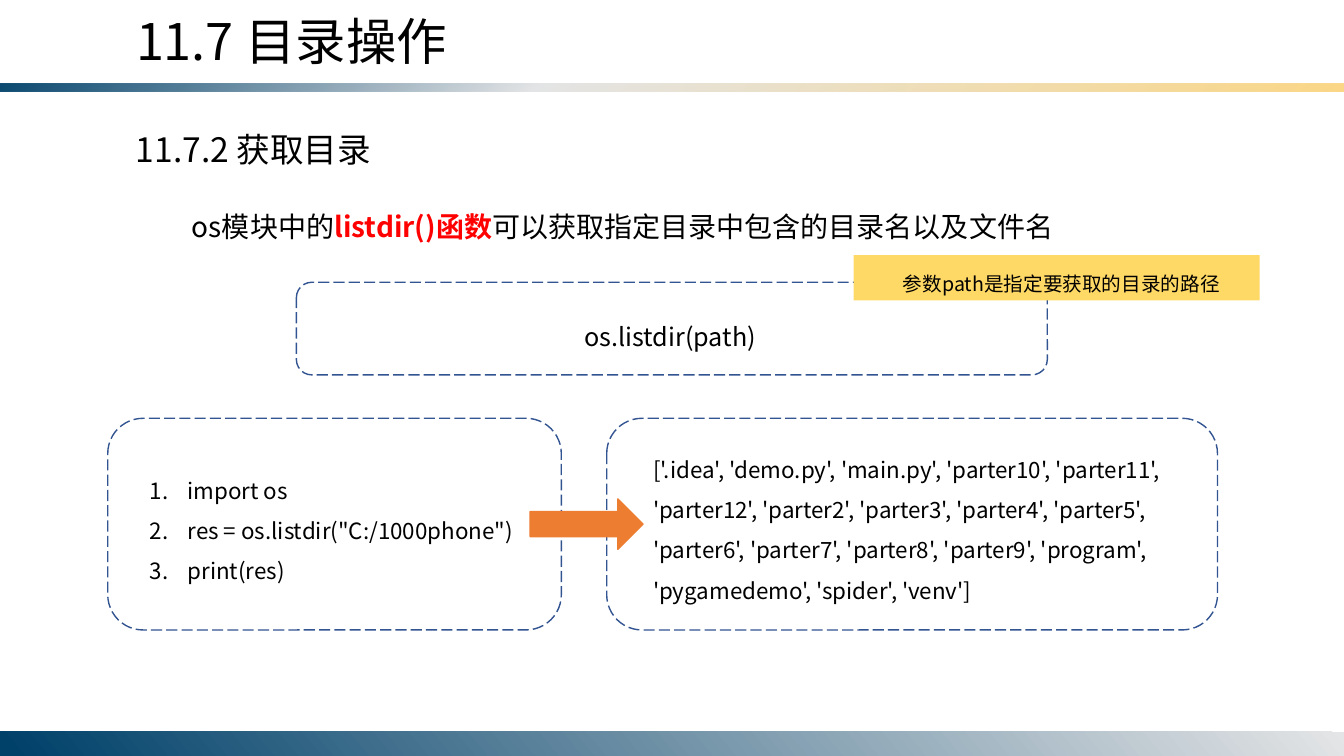
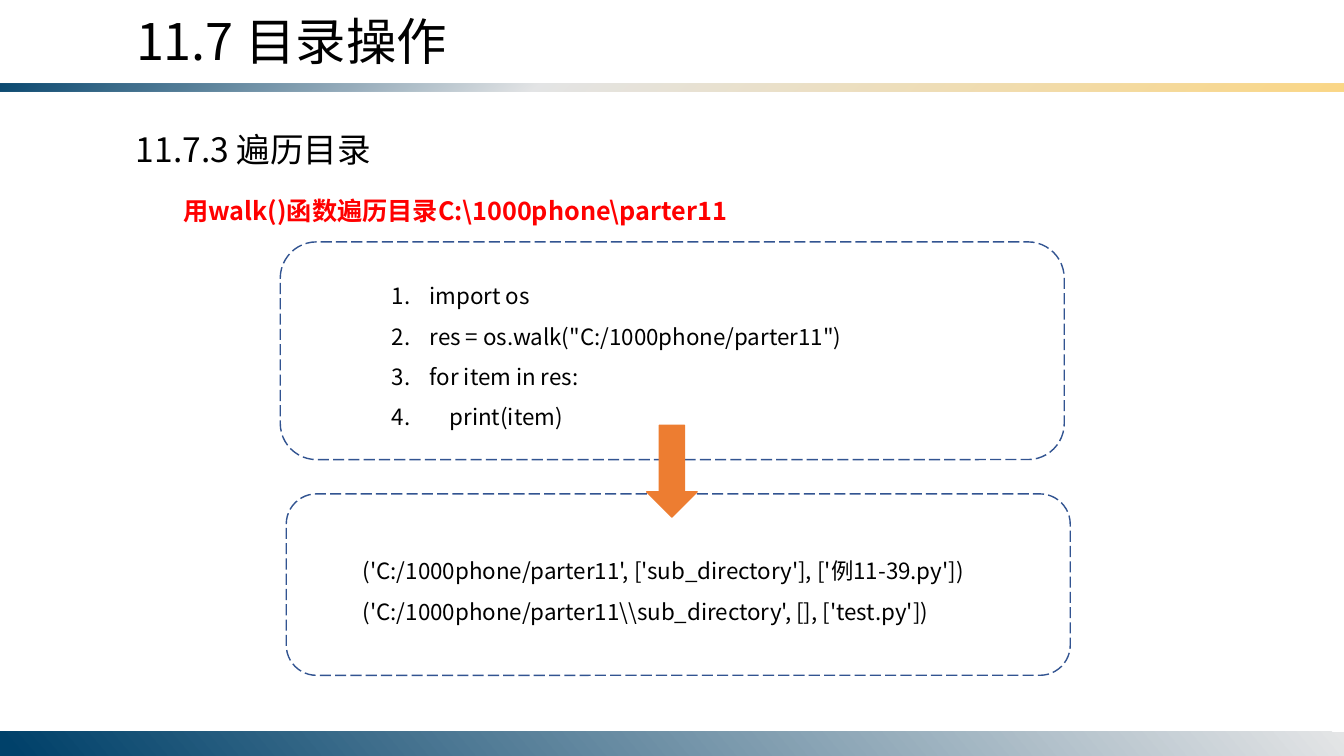
from lxml.etree import SubElement
from pptx import Presentation
from pptx.dml.color import RGBColor
from pptx.enum.dml import MSO_LINE_DASH_STYLE as DASH
from pptx.enum.shapes import MSO_SHAPE as SHAPE
from pptx.enum.text import MSO_ANCHOR as ANCHOR, MSO_AUTO_SIZE as FIT, PP_ALIGN as ALIGN
from pptx.oxml.ns import qn
from pptx.util import Pt

FONT = "Noto Sans CJK SC"
BLACK, RED, NAVY, ORANGE, YELLOW = "000000", "FF0000", "325491", "ED7D31", "FFD966"
WIDTH, HEIGHT = 960, 540
LEFT = 90
TITLE = "11.7 目录操作"
TOP_STOPS = [(0, "00416A", 95), (40, "E4E5E6", 100), (100, "FBD786", 100)]
FOOT_STOPS = [(0, "E4E5E6", 100), (99, "00416A", 100)]


def rgb(color):
    """Turn a hex string into a colour."""
    return RGBColor.from_string(color)


def place(sp, x, y, w, h):
    """Move and size a shape, in points."""
    sp.left, sp.top, sp.width, sp.height = Pt(x), Pt(y), Pt(w), Pt(h)


def add_run(p, text, size, color=BLACK, bold=False):
    """Append one formatted run."""
    r = p.add_run()
    r.text = text
    r.font.size, r.font.bold, r.font.name = Pt(size), bold, FONT
    r.font.color.rgb = rgb(color)
    SubElement(r.font._element, qn("a:ea"), typeface=FONT)


def write(sp, lines, size, indent=0, spacing=1.5, numbered=False, fit=FIT.SHAPE_TO_FIT_TEXT):
    """Fill a shape with lines, each a list of runs."""
    tf = sp.text_frame
    tf.word_wrap, tf.auto_size, tf.vertical_anchor = True, fit, ANCHOR.TOP
    for i, runs in enumerate(lines):
        p = tf.add_paragraph() if i else tf.paragraphs[0]
        pPr = p._p.get_or_add_pPr()
        if numbered:
            pPr.set("marL", str(Pt(27)))
            pPr.set("indent", str(Pt(-27)))
            SubElement(pPr, qn("a:buFont"), typeface="+mj-lt")
            SubElement(pPr, qn("a:buAutoNum"), type="arabicPeriod")
        elif indent:
            pPr.set("indent", str(Pt(indent)))
        p.alignment, p.line_spacing = ALIGN.LEFT, spacing
        for run in runs:
            add_run(p, run[0], size, *run[1:])


def add_text(s, box, lines, size, **style):
    """Add a text box."""
    write(s.shapes.add_textbox(*map(Pt, box)), lines, size, **style)


def add_block(s, kind, box, fill=None, line=None):
    """Add a preset shape with plain fill and outline."""
    sp = s.shapes.add_shape(kind, *map(Pt, box))
    sp.shadow.inherit = False
    if fill:
        sp.fill.solid()
        sp.fill.fore_color.rgb = rgb(fill)
    else:
        sp.fill.background()
    if line:
        sp.line.color.rgb, sp.line.width = rgb(line), Pt(1)
    else:
        sp.line.fill.background()
    return sp


def add_band(s, box, stops, angle):
    """Add a gradient band to the layout of a slide."""
    sp = add_block(s, SHAPE.RECTANGLE, box)
    sp.fill.gradient()
    sp.fill.gradient_angle = 360 - angle
    stop_list = sp.element.find(".//" + qn("a:gsLst"))
    stop_list.clear()
    for pos, color, alpha in stops:
        gs = SubElement(stop_list, qn("a:gs"), pos=str(pos * 1000))
        clr = SubElement(gs, qn("a:srgbClr"), val=color)
        if alpha < 100:
            SubElement(clr, qn("a:alpha"), val=str(alpha * 1000))
    s.slide_layout.shapes.element.append(sp.element)


def add_bands(s):
    """Put the header and footer bands on the layout."""
    add_band(s, (0, 59.8, WIDTH, 5.8), TOP_STOPS, 50)
    add_band(s, (0, 522.7, WIDTH, HEIGHT - 522.7), FOOT_STOPS, 140)


def add_slide(prs, heading):
    """Start a slide with its title and section heading."""
    s = prs.slides.add_slide(prs.slide_layouts[5])
    title = s.shapes.title
    place(title, LEFT, 3.6, 441, 51)
    write(title, [[(TITLE,)]], 36, spacing=1, fit=FIT.NONE)
    add_text(s, (LEFT, 88.6, 372, 36), [[(heading,)]], 24, spacing=1)
    return s


def add_panel(s, box, inset, lines, size=16, numbered=False):
    """Add a dashed panel with text inset from its left, top and right."""
    x, y, w, h = box
    left, top, right = inset
    frame = add_block(s, SHAPE.ROUNDED_RECTANGLE, box, line=NAVY)
    frame.line.dash_style = DASH.LONG_DASH
    add_text(s, (x + left, y + top, w - left - right, h - 2 * top),
             [[(line,)] for line in lines], size, numbered=numbered)


def add_arrow(s, kind, box):
    """Add an orange block arrow."""
    add_block(s, kind, box, ORANGE, ORANGE)


def listdir_slide(prs):
    """Build the slide on listing a directory."""
    s = add_slide(prs, "11.7.2 获取目录")
    add_bands(s)
    add_text(s, (LEFT, 134, 756, 43),
             [[("os模块中的",), ("listdir()函数", RED, True),
               ("可以获取指定目录中包含的目录名以及文件名",)]], 20, indent=40)
    add_panel(s, (211.7, 201.6, 536.4, 66.2), (198.7, 13.6, 190), ["os.listdir(path)"], 18)
    top, height = 298.8, 151.2
    add_panel(s, (77, top, 324, height), (23, 28.8, 22),
              ["import os", 'res = os.listdir("C:/1000phone")', "print(res)"], numbered=True)
    add_panel(s, (433.4, top, 436.3, height), (26, 13.7, 10),
              ["['.idea', 'demo.py', 'main.py', 'parter10', 'parter11', 'parter12', "
               "'parter2', 'parter3', 'parter4', 'parter5', 'parter6', 'parter7', "
               "'parter8', 'parter9', 'program', 'pygamedemo', 'spider', 'venv']"])
    add_arrow(s, SHAPE.RIGHT_ARROW, (378.7, 356.4, 80.6, 36))
    note = add_block(s, SHAPE.RECTANGLE, (609.8, 182.2, 290, 32.4), YELLOW)
    write(note, [[("参数path是指定要获取的目录的路径",)]], 14, indent=28)


def walk_slide(prs):
    """Build the slide on walking a directory tree."""
    s = add_slide(prs, "11.7.3 遍历目录")
    add_text(s, (87.8, 125.3, 784, 39.6),
             [[(r"用walk()函数遍历目录C:\1000phone\parter11", RED, True)]], 18, indent=36)
    add_panel(s, (200.2, 172.8, 560, 155.5), (72.7, 15.8, 73),
              ["import os", 'res = os.walk("C:/1000phone/parter11")',
               "for item in res:", "    print(item)"], numbered=True)
    add_panel(s, (204.5, 352.8, 560, 129.6), (47.5, 32.4, 48),
              ["('C:/1000phone/parter11', ['sub_directory'], ['例11-39.py'])",
               r"('C:/1000phone/parter11\\sub_directory', [], ['test.py'])"])
    add_arrow(s, SHAPE.DOWN_ARROW, (462, 303.8, 36, 65.5))


def main():
    """Build and save the presentation."""
    prs = Presentation()
    prs.slide_width, prs.slide_height = Pt(WIDTH), Pt(HEIGHT)
    listdir_slide(prs)
    walk_slide(prs)
    prs.save("out.pptx")


if __name__ == "__main__":
    main()
